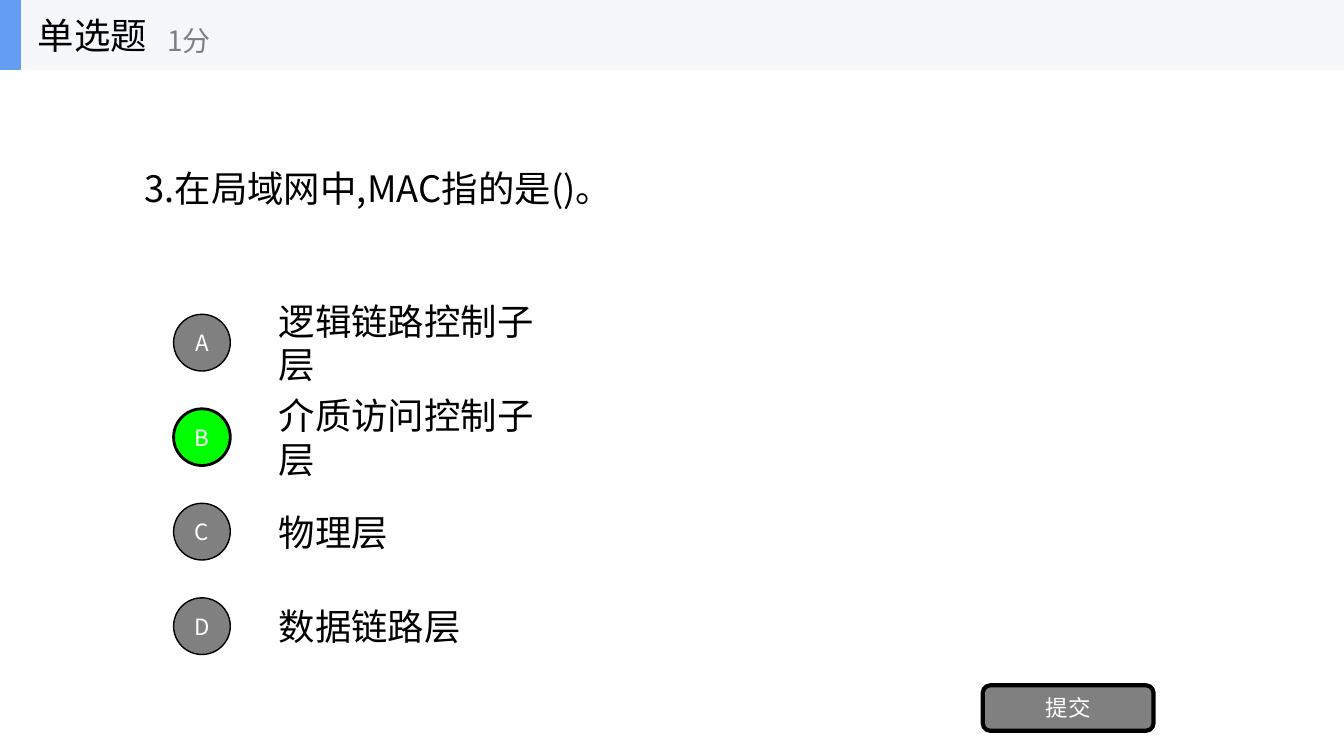
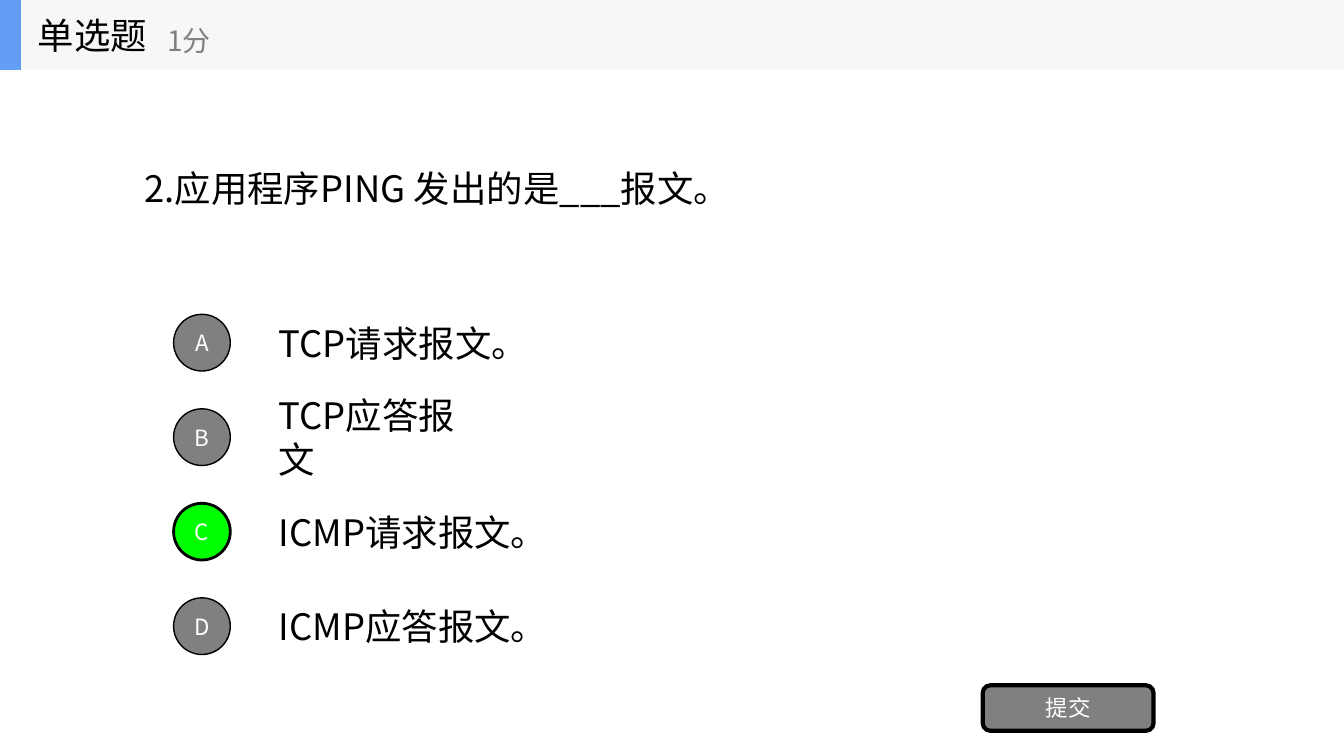
from pptx import Presentation
from pptx.dml.color import RGBColor
from pptx.enum.shapes import MSO_SHAPE
from pptx.enum.text import MSO_ANCHOR, MSO_AUTO_SIZE, PP_ALIGN
from pptx.util import Pt

BLACK = RGBColor(0x00, 0x00, 0x00)
WHITE = RGBColor(0xFF, 0xFF, 0xFF)
GRAY = RGBColor(0x80, 0x80, 0x80)
GREEN = RGBColor(0x00, 0xFF, 0x00)
BAND = RGBColor(0xF6, 0xF7, 0xF8)
BLUE = RGBColor(0x63, 0x9E, 0xF4)
FONT = "Noto Sans CJK SC"

WIDTH, HEIGHT = 960, 540
HEAD = 50
LINE = 31  # line pitch of questions and options
ROW = 38.2  # height of a one-line text box
FIRST, STEP = 224.5, 67.5
DOT = 40.5

# Each option is its text and the width of its box.
QUIZ = [
    {
        "ask": ("3.在局域网中,MAC指的是()。", 354),
        "options": [
            ("逻辑链路控制子层", 222),
            ("介质访问控制子层", 222),
            ("物理层", 93),
            ("数据链路层", 145),
        ],
        "answer": "B",
    },
    {
        "ask": ("2.应用程序PING 发出的是___报文。", 428),
        "options": [
            ("TCP请求报文。", 191.5),
            ("TCP应答报文", 165.5),
            ("ICMP请求报文。", 211),
            ("ICMP应答报文。", 211),
        ],
        "answer": "C",
    },
]


def write(shape, text, size, color, align=PP_ALIGN.LEFT):
    frame = shape.text_frame
    frame.word_wrap = True
    frame.vertical_anchor = MSO_ANCHOR.MIDDLE
    para = frame.paragraphs[0]
    para.alignment = align
    run = para.add_run()
    run.text = text
    style = {"name": FONT, "size": Pt(size)}
    for key, value in style.items():
        setattr(run.font, key, value)
    run.font.color.rgb = color
    return frame


def add_text(shapes, box, text, size=26, color=BLACK):
    return write(shapes.add_textbox(*map(Pt, box)), text, size, color)


def add_body(shapes, box, text):
    """Add a question or option whose box grows with its text."""
    frame = add_text(shapes, box, text)
    frame.auto_size = MSO_AUTO_SIZE.SHAPE_TO_FIT_TEXT
    frame.paragraphs[0].line_spacing = Pt(LINE)


def add_form(shapes, kind, box, fill, line=0):
    form = shapes.add_shape(kind, *map(Pt, box))
    form.shadow.inherit = False
    form.fill.solid()
    form.fill.fore_color.rgb = fill
    if line:
        form.line.color.rgb = BLACK
        form.line.width = Pt(line)
    else:
        form.line.fill.background()
    return form


def add_button(shapes, kind, box, text, fill, line):
    form = add_form(shapes, kind, box, fill, line)
    frame = write(form, text, 16, WHITE, PP_ALIGN.CENTER)
    for side in ("left", "right", "top", "bottom"):
        setattr(frame, "margin_" + side, 0)


def add_head(slide):
    shapes = slide.shapes.add_group_shape().shapes
    add_form(shapes, MSO_SHAPE.RECTANGLE, (0, 0, WIDTH, HEAD), BAND)
    add_form(shapes, MSO_SHAPE.RECTANGLE, (0, 0, 15, HEAD), BLUE)
    add_text(shapes, (20, 0, 150, HEAD), "单选题")
    add_text(shapes, (112.5, 9, 180, 40), "1分", 20, GRAY)


def add_quiz(slide, quiz):
    shapes = slide.shapes
    text, width = quiz["ask"]
    add_body(shapes, (96, 115, width, ROW), text)
    for row, (mark, (text, width)) in enumerate(zip("ABCD", quiz["options"])):
        top = FIRST + row * STEP
        right = mark == quiz["answer"]
        add_body(shapes, (192, top + (DOT - ROW) / 2, width, ROW), text)
        add_button(shapes, MSO_SHAPE.OVAL, (124, top, DOT, DOT), mark,
                   GREEN if right else GRAY, 2 if right else 1)
    add_button(shapes, MSO_SHAPE.ROUNDED_RECTANGLE, (702, 489.5, 122, 32.5),
               "提交", GRAY, 3)


def main():
    deck = Presentation()
    deck.slide_width, deck.slide_height = Pt(WIDTH), Pt(HEIGHT)
    for quiz in QUIZ:
        slide = deck.slides.add_slide(deck.slide_layouts[6])
        add_quiz(slide, quiz)
        add_head(slide)
    deck.save("out.pptx")


if __name__ == "__main__":
    main()
